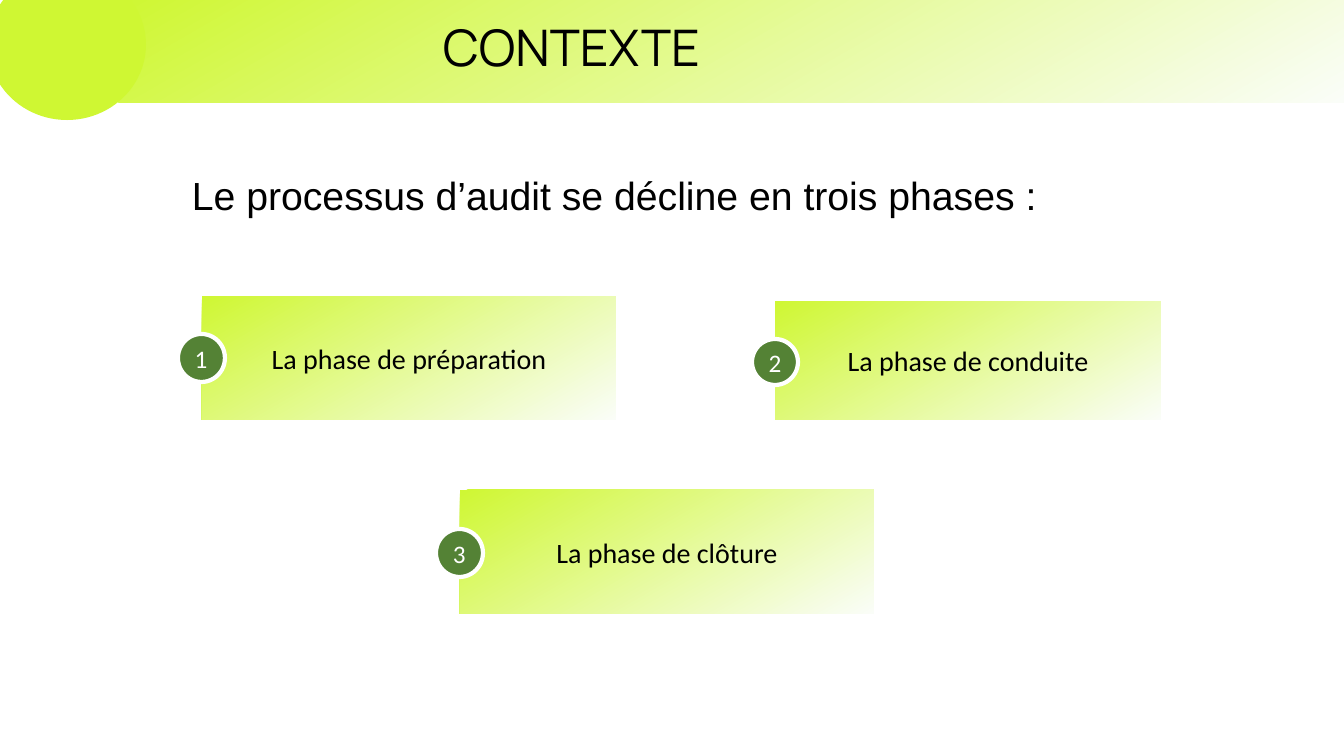
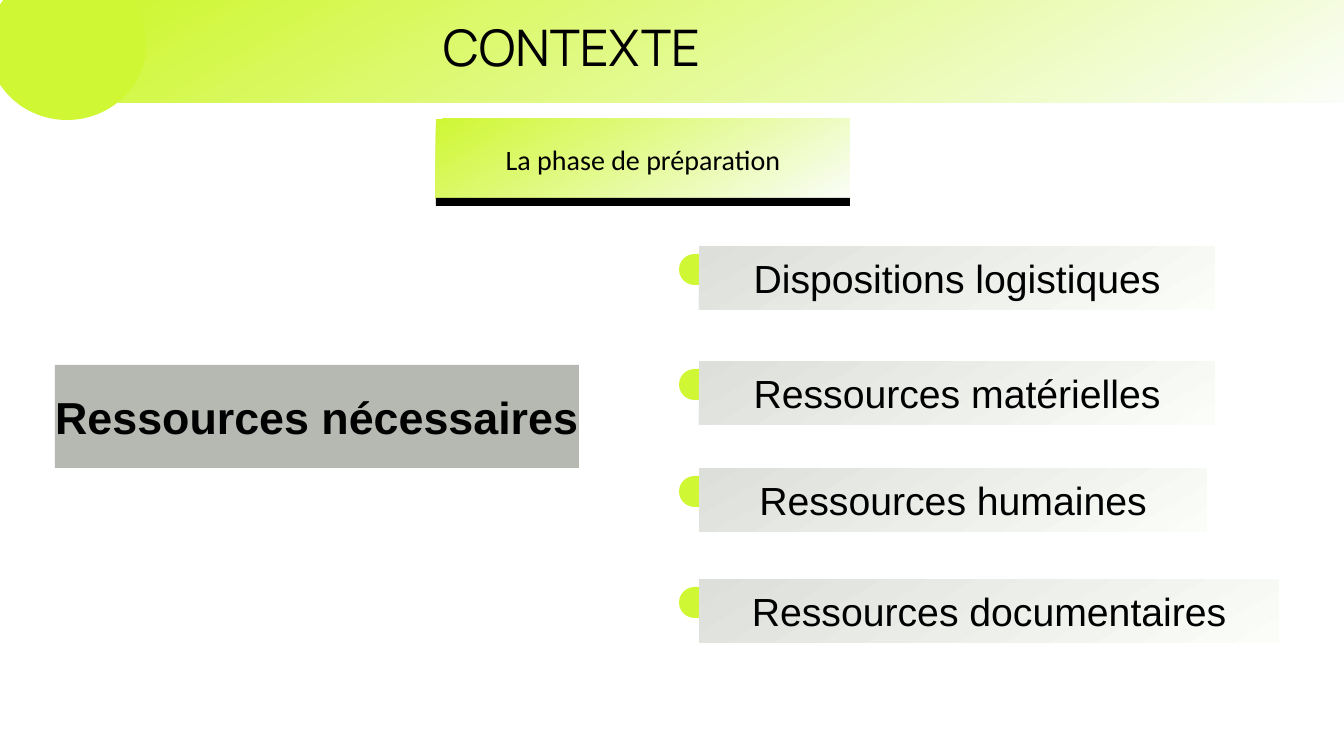
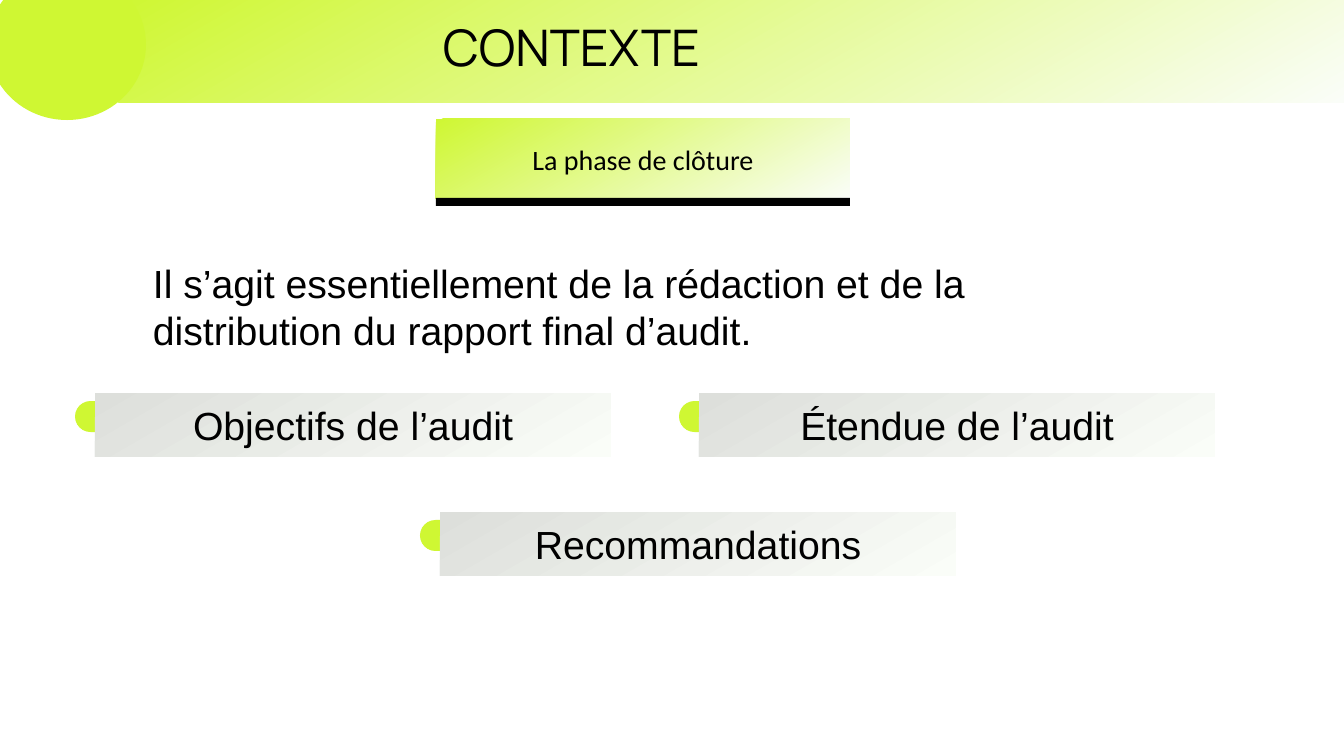
"""Build three slides on the phases of an audit."""
from pptx import Presentation
from pptx.dml.color import RGBColor
from pptx.enum.shapes import MSO_SHAPE
from pptx.enum.text import MSO_ANCHOR, PP_ALIGN
from pptx.oxml.ns import qn
from pptx.util import Pt

UNIT = 914400 / 100.8
HEX = {
    "lime": "CFF733", "pale": "FAFDF8", "mist": "DDDFDB", "stone": "B5B9B2",
    "green": "548235", "ink": "010101", "black": "000000", "white": "FFFFFF",
}
RGB = {name: RGBColor.from_string(code) for name, code in HEX.items()}


def draw(slide, kind, box, *fill):
    """Add a borderless shape; two fill colours make a gradient."""
    shape = slide.shapes.add_shape(kind, *[round(n * UNIT) for n in box])
    shape.shadow.inherit = False
    shape.line.fill.background()
    if len(fill) == 1:
        shape.fill.solid()
        shape.fill.fore_color.rgb = RGB[fill[0]]
    else:
        shape.fill.gradient()
        shape.fill.gradient_angle = 300
        for stop, name in zip(shape.fill.gradient_stops, fill):
            stop.color.rgb = RGB[name]
    return shape


def write(shape, text, size, font="Arial", color="black",
          align=PP_ALIGN.CENTER, anchor=MSO_ANCHOR.MIDDLE, wrap=True, bold=False):
    """Fill a shape with text, one paragraph a line."""
    frame = shape.text_frame
    frame.text = text
    frame.word_wrap = wrap
    frame.vertical_anchor = anchor
    for para in frame.paragraphs:
        para.alignment = align
        para.font.size = Pt(size)
        para.font.name = font
        para.font.bold = bold
        para.font.color.rgb = RGB[color]


PAGES = [
    {
        "notes": [("Le processus d’audit se décline en trois phases\u00a0:",
                   28, "Arial", (182, 166, 897, 101))],
        "phases": [
            ("1", "La phase de préparation", (202, 296, 414, 124), (178, 334, 47, 48)),
            ("3", "La phase de clôture", (460, 490, 414, 124), (436, 529, 47, 48)),
            ("2", "La phase de conduite", (775, 301, 386, 119), (752, 339, 46, 46)),
        ],
    },
    {
        "head": "La phase de préparation",
        "label": "Ressources nécessaires",
        "items": [
            ("Dispositions logistiques", 699, 246, 516),
            ("Ressources matérielles", 699, 361, 516),
            ("Ressources humaines", 699, 468, 508),
            ("Ressources documentaires", 699, 579, 580),
        ],
    },
    {
        "head": "La phase de clôture",
        "notes": [("Il s’agit essentiellement de la rédaction et de la\n"
                   "distribution du rapport final d’audit.",
                   28, "Arial", (143, 254, 969, 98))],
        "items": [
            ("Étendue de l’audit", 699, 393, 516),
            ("Objectifs de l’audit", 95, 393, 516),
            ("Recommandations", 440, 512, 516),
        ],
    },
]
TITLE = ("CONTEXTE", 36, "Manrope", (433, 11, 291, 69))

deck = Presentation()
deck.slide_width = round(1344 * UNIT)
deck.slide_height = round(756 * UNIT)

for page in PAGES:
    slide = deck.slides.add_slide(deck.slide_layouts[6])
    draw(slide, MSO_SHAPE.RECTANGLE, (119, 0, 1225, 103), "lime", "pale")
    draw(slide, MSO_SHAPE.OVAL, (-12, -31, 158, 151), "lime")

    for text, size, font, box in [TITLE] + page.get("notes", []):
        area = slide.shapes.add_textbox(*[round(n * UNIT) for n in box])
        write(area, text, size, font, align=PP_ALIGN.LEFT, anchor=MSO_ANCHOR.TOP)

    if "head" in page:
        head = draw(slide, MSO_SHAPE.RECTANGLE, (436, 119, 414, 80), "lime", "pale")
        write(head, page["head"], 20, "Calibri")
        draw(slide, MSO_SHAPE.RECTANGLE, (436, 198, 414, 8), "ink")

    if "label" in page:
        label = draw(slide, MSO_SHAPE.RECTANGLE, (55, 365, 524, 103), "stone")
        write(label, page["label"], 32, color="ink", wrap=False, bold=True)

    for number, text, box, spot in page.get("phases", []):
        panel = draw(slide, MSO_SHAPE.RECTANGLE, box, "lime", "pale")
        write(panel, text, 20, "Calibri")
        badge = draw(slide, MSO_SHAPE.FLOWCHART_CONNECTOR, spot, "green")
        badge.line.color.rgb = RGB["white"]
        badge.line.width = Pt(3)
        write(badge, number, 18, "Calibri", "white", PP_ALIGN.JUSTIFY)

    for text, left, top, width in page.get("items", []):
        dot = draw(slide, MSO_SHAPE.FLOWCHART_DELAY, (left - 20, top + 8, 31, 31), "lime")
        dot.element.spPr.find(qn("a:xfrm")).set("flipH", "1")
        strip = draw(slide, MSO_SHAPE.RECTANGLE, (left, top, width, 64), "mist", "pale")
        write(strip, text, 28, wrap=False)

deck.save("out.pptx")
